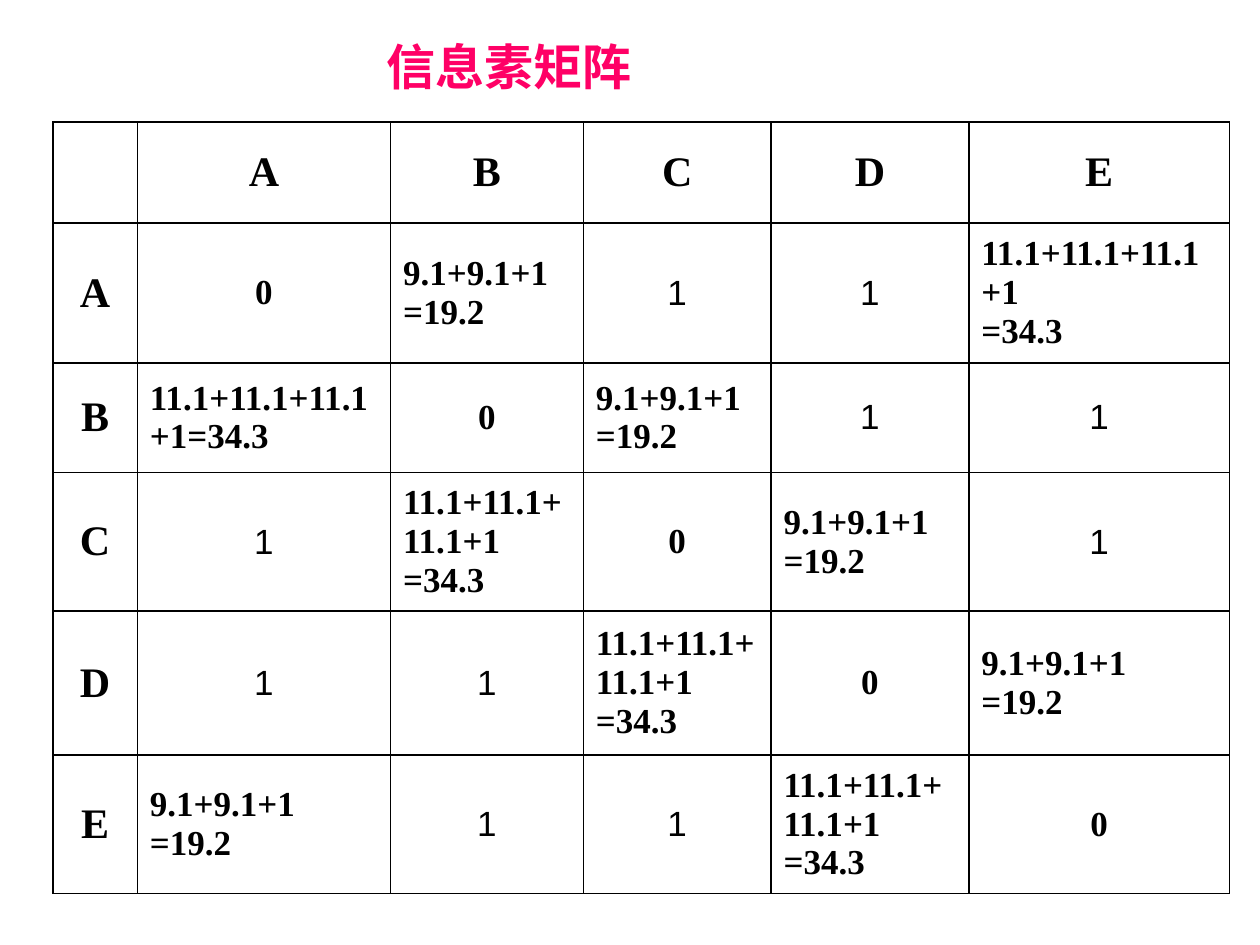
from lxml.etree import SubElement
from pptx import Presentation
from pptx.dml.color import RGBColor
from pptx.enum.text import MSO_ANCHOR, MSO_AUTO_SIZE, PP_ALIGN
from pptx.oxml.ns import qn
from pptx.util import Inches, Pt

PINK = RGBColor(0xFF, 0x00, 0x66)
BLACK = RGBColor(0x00, 0x00, 0x00)
NODES = "ABCDE"
COLS = [0.67, 2.01, 1.53, 1.49, 1.57, 2.07]
ROWS = [0.8, 1.11, 0.87, 1.1, 1.14, 1.1]
FORMATS = {
    "title": {"name": "Arial", "size": Pt(28), "bold": True},
    "head": {"name": "Times New Roman", "size": Pt(24), "bold": True},
    "sum": {"name": "Times New Roman", "size": Pt(20), "bold": True},
    "base": {"name": "Arial", "size": Pt(20), "bold": False},
}


def write(frame, text, kind, color, align):
    """Fill a text frame with one paragraph per line of text."""
    frame.text = text
    for para in frame.paragraphs:
        para.alignment = align
        for run in para.runs:
            run.font.color.rgb = color
            for name, value in FORMATS[kind].items():
                setattr(run.font, name, value)


def add_title(slide, left, top, width, height):
    """Place and format the slide title."""
    title = slide.shapes.title
    title.left, title.top = Inches(left), Inches(top)
    title.width, title.height = Inches(width), Inches(height)
    frame = title.text_frame
    frame.auto_size = MSO_AUTO_SIZE.SHAPE_TO_FIT_TEXT
    frame.vertical_anchor = MSO_ANCHOR.MIDDLE
    write(frame, "信息素矩阵", "title", PINK, PP_ALIGN.CENTER)


def add_border(cell):
    """Draw a thin black line on each side of a cell."""
    props = cell._tc.get_or_add_tcPr()
    for side in ("lnL", "lnR", "lnT", "lnB"):
        line = SubElement(props, qn(f"a:{side}"), w=str(Pt(1)))
        fill = SubElement(line, qn("a:solidFill"))
        SubElement(fill, qn("a:srgbClr"), val=str(BLACK))


def get_entry(row, col):
    """Return the text, format and alignment of a matrix cell."""
    if row == 0 or col == 0:
        index = row + col
        return NODES[index - 1] if index else "", "head", PP_ALIGN.CENTER
    step = (col - row) % len(NODES)
    if step == 0:
        return "0", "sum", PP_ALIGN.CENTER
    if step == 1:
        return "9.1+9.1+1\n=19.2", "sum", PP_ALIGN.LEFT
    if step == len(NODES) - 1:
        gap = "" if row == 2 else "\n"
        return f"11.1+11.1+11.1+1{gap}=34.3", "sum", PP_ALIGN.LEFT
    return "1", "base", PP_ALIGN.CENTER


def add_matrix(slide, left, top, width, height):
    """Build the pheromone matrix as a bordered table."""
    table = slide.shapes.add_table(
        len(ROWS), len(COLS),
        Inches(left), Inches(top), Inches(width), Inches(height),
    ).table
    table.first_row = table.horz_banding = False
    for column, size in zip(table.columns, COLS):
        column.width = Inches(size)
    for line, size in zip(table.rows, ROWS):
        line.height = Inches(size)
    for row in range(len(ROWS)):
        for col in range(len(COLS)):
            cell = table.cell(row, col)
            text, kind, align = get_entry(row, col)
            write(cell.text_frame, text, kind, BLACK, align)
            cell.vertical_anchor = MSO_ANCHOR.MIDDLE
            add_border(cell)
            cell.fill.background()


def main():
    """Build and save the presentation."""
    deck = Presentation()
    deck.slide_width, deck.slide_height = Inches(10), Inches(7.5)
    slide = deck.slides.add_slide(deck.slide_layouts.get_by_name("Title Only"))
    add_title(slide, 2.83, 0.24, 2.42, 0.57)
    add_matrix(slide, 0.42, 0.97, sum(COLS), sum(ROWS))
    deck.save("out.pptx")


if __name__ == "__main__":
    main()
